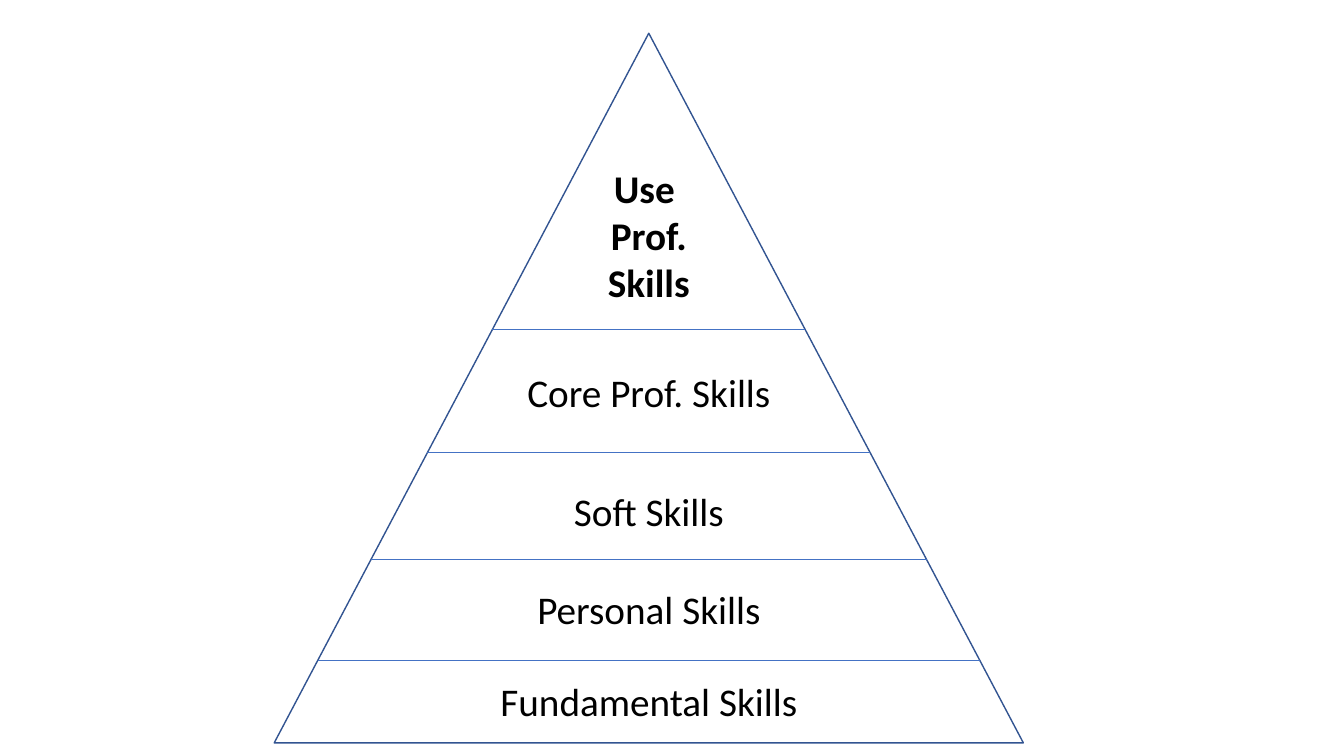
from lxml import etree
from pptx import Presentation
from pptx.dml.color import RGBColor
from pptx.enum.shapes import MSO_CONNECTOR, MSO_SHAPE
from pptx.enum.text import MSO_AUTO_SIZE, PP_ALIGN
from pptx.oxml.ns import qn
from pptx.util import Inches, Pt

TRIANGLE = MSO_SHAPE.ISOSCELES_TRIANGLE
STRAIGHT = MSO_CONNECTOR.STRAIGHT
CENTER = PP_ALIGN.CENTER
GROW = MSO_AUTO_SIZE.SHAPE_TO_FIT_TEXT

# Content: lines of each level, top of its text, bold
LEVELS = [
    (["Use ", "Prof.", "Skills"], 1.58, True),
    (["Core Prof. Skills"], 3.6, False),
    (["Soft Skills"], 4.79, False),
    (["Personal Skills"], 5.76, False),
    (["Fundamental Skills"], 6.67, False),
]
CUTS = [3.27, 4.49, 5.55, 6.55]

# Layout in inches
WIDE, HIGH = 13.33, 7.5
LEFT, TOP, BASE, RISE = 2.72, 0.33, 7.43, 7.04
MID = LEFT + BASE / 2
TEXT_W, ROW, PAD = 4.78, 0.47, 0.1
EDGE, RULE, INK = "325491", "4472C4", "000000"


def color(code):
    return RGBColor.from_string(code)


def add_text(slide, lines, top, size=28, bold=False, font="Calibri", ink=INK):
    box = slide.shapes.add_textbox(
        Inches(MID - TEXT_W / 2), Inches(top),
        Inches(TEXT_W), Inches(len(lines) * ROW + PAD))
    frame = box.text_frame
    frame.word_wrap = True
    frame.auto_size = GROW
    frame.text = "\n".join(lines)
    for para in frame.paragraphs:
        para.alignment = CENTER
        face = para.runs[0].font
        face.name, face.size, face.bold = font, Pt(size), bold
        face.color.rgb = color(ink)


def add_cut(slide, y):
    # Half the pyramid's width at this height
    half = BASE / 2 * (y - TOP) / RISE
    cut = slide.shapes.add_connector(
        STRAIGHT, Inches(MID - half), Inches(y), Inches(MID + half), Inches(y))
    cut.line.color.rgb = color(RULE)
    cut.line.width = Pt(0.5)
    etree.SubElement(cut._element.spPr, qn("a:effectLst"))


def main():
    deck = Presentation()
    deck.slide_width, deck.slide_height = Inches(WIDE), Inches(HIGH)
    slide = deck.slides.add_slide(deck.slide_layouts[6])

    # Pyramid outline
    outer = slide.shapes.add_shape(
        TRIANGLE, Inches(LEFT), Inches(TOP), Inches(BASE), Inches(RISE))
    outer.shadow.inherit = False
    outer.fill.background()
    outer.line.color.rgb = color(EDGE)
    outer.line.width = Pt(1)

    # Level names and the lines between them
    for lines, top, bold in LEVELS:
        add_text(slide, lines, top, bold=bold)
    for y in CUTS:
        add_cut(slide, y)

    deck.save("out.pptx")


if __name__ == "__main__":
    main()
